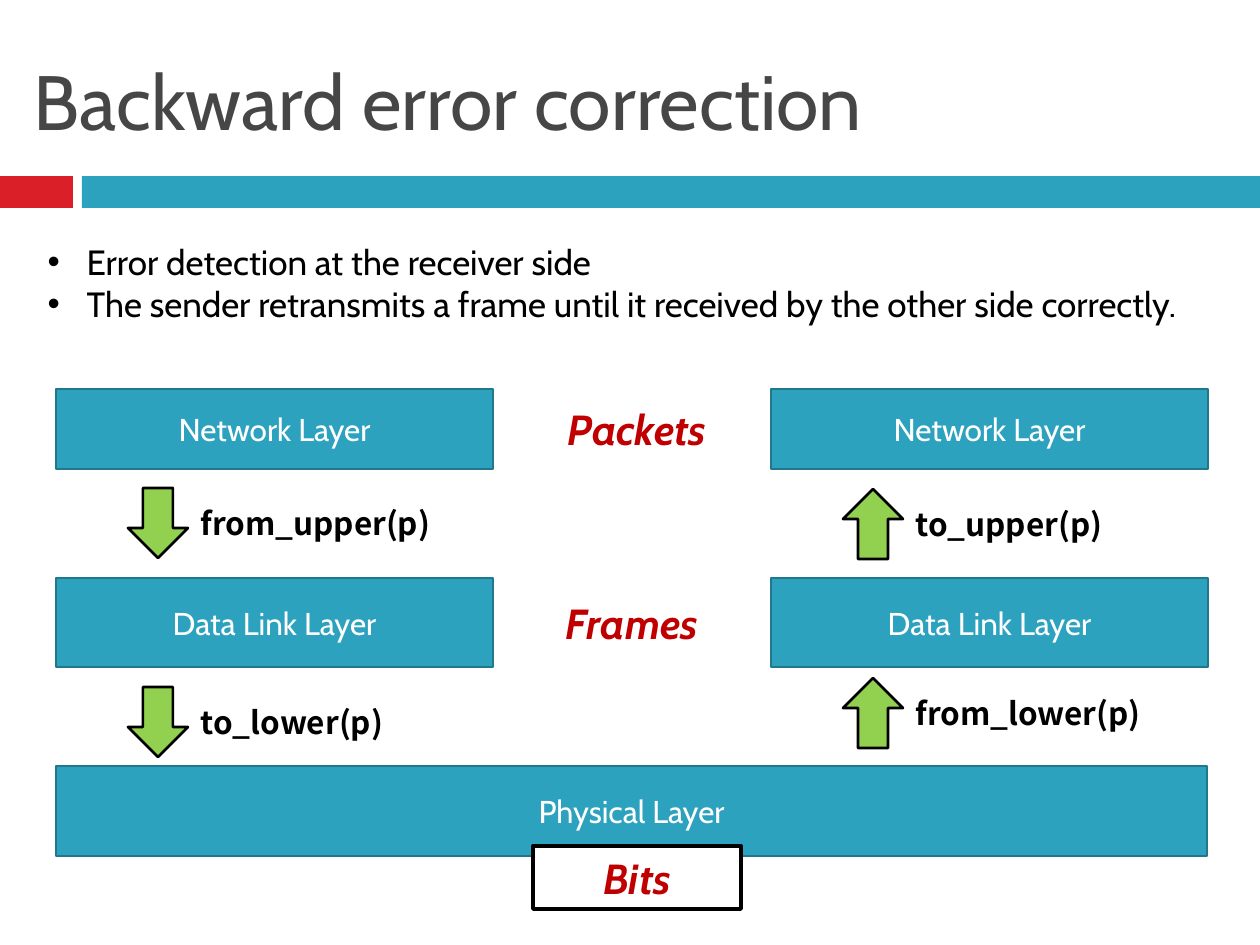
import pptx
import pptx.util
import pptx.dml.color
import pptx.enum.shapes
import pptx.enum.text

SCALE = 914400 / 126  # EMU in one px
RECT = pptx.enum.shapes.MSO_SHAPE.RECTANGLE
DOWN_ARROW = pptx.enum.shapes.MSO_SHAPE.DOWN_ARROW
LEFT, CENTER = pptx.enum.text.PP_ALIGN.LEFT, pptx.enum.text.PP_ALIGN.CENTER
TOP, MIDDLE = pptx.enum.text.MSO_ANCHOR.TOP, pptx.enum.text.MSO_ANCHOR.MIDDLE
RED, TEAL, DARK_TEAL, GREEN = "DA1F28", "2DA2BF", "21788D", "92D050"
WHITE, BLACK, GRAY, DARK_RED = "FFFFFF", "000000", "464646", "C00000"

# Content
TITLE = "Backward error correction"
BULLETS = [
    "Error detection at the receiver side",
    "The sender retransmits a frame until it received by the other side correctly.",
]
SENDER, RECEIVER = 56, 771  # left edges of the two stacks
STACK_W, FULL_W = 437, 1151
LAYERS = [  # name, top, height
    ("Network Layer", 389, 80),
    ("Data Link Layer", 578, 89),
]
PHYSICAL = ("Physical Layer", 766, 90)
CALLS = [  # name, stack, arrow top, rotation
    ("from_upper(p)", SENDER, 488, 0),
    ("to_lower(p)", SENDER, 687, 0),
    ("to_upper(p)", RECEIVER, 489, 180),
    ("from_lower(p)", RECEIVER, 678, 180),
]
UNITS = [("Packets", 533, 397), ("Frames", 528, 591)]  # name, left, top
BITS = ("Bits", 533, 846)
UNIT_SIZE = (208, 63)


def px(n):
    return round(n * SCALE)


def color(value):
    return pptx.dml.color.RGBColor.from_string(value)


def place(s, x, y, w, h):
    s.left, s.top, s.width, s.height = px(x), px(y), px(w), px(h)


def write(s, *lines, size=18, font="Cabin", fill=BLACK, bold=False, italic=False,
          align=LEFT, anchor=TOP):
    tf = s.text_frame
    tf.word_wrap = True
    tf.auto_size = pptx.enum.text.MSO_AUTO_SIZE.NONE
    tf.vertical_anchor = anchor
    for i, line in enumerate(lines):
        p = tf.add_paragraph() if i else tf.paragraphs[0]
        p.alignment = align
        p.space_before = pptx.util.Pt(0)
        r = p.add_run()
        r.text = line
        r.font.size = pptx.util.Pt(size)
        r.font.name = font
        r.font.bold, r.font.italic = bold, italic
        r.font.color.rgb = color(fill)


def add_shape(kind, x, y, w, h, fill, line=None, width=1.5):
    s = slide.shapes.add_shape(kind, px(x), px(y), px(w), px(h))
    s.shadow.inherit = False
    s.fill.solid()
    s.fill.fore_color.rgb = color(fill)
    if line:
        s.line.color.rgb = color(line)
        s.line.width = pptx.util.Pt(width)
    else:
        s.line.fill.background()
    return s


def add_text(x, y, w, h, text, **style):
    s = slide.shapes.add_textbox(px(x), px(y), px(w), px(h))
    write(s, text, **style)


def add_layer(name, x, y, w, h):
    s = add_shape(RECT, x, y, w, h, TEAL, DARK_TEAL)
    write(s, name, fill=WHITE, align=CENTER, anchor=MIDDLE)


prs = pptx.Presentation()
prs.slide_width, prs.slide_height = px(1260), px(945)
slide = prs.slides.add_slide(prs.slide_layouts[1])

# Title and the band below it
add_shape(RECT, 0, 176, 73, 32, RED)
add_shape(RECT, 82, 176, 1178, 32, TEAL)
title, body = slide.placeholders
place(title, 21, 32, 1218, 136)
write(title, TITLE, size=44, fill=GRAY, anchor=MIDDLE)

# Bullet list
place(body, 35, 234, 1173, 97)
write(body, *BULLETS, size=20)
for p in body.text_frame.paragraphs:
    pPr = p._p.get_or_add_pPr()
    pPr.set("marL", str(px(39)))
    pPr.set("indent", str(px(-39)))

# Layers of both stacks over the shared physical layer
for x in (SENDER, RECEIVER):
    for name, y, h in LAYERS:
        add_layer(name, x, y, STACK_W, h)
name, y, h = PHYSICAL
add_layer(name, SENDER, y, FULL_W, h)

# Calls between layers
for name, x, y, rotation in CALLS:
    arrow = add_shape(DOWN_ARROW, x + 72, y, 60, 70, GREEN, BLACK)
    arrow.rotation = rotation
    add_text(x + 132, y + 10, 258, 51, name, font="Noto Sans CJK SC", bold=True)

# Data units
unit_style = dict(size=24, fill=DARK_RED, bold=True, italic=True, align=CENTER)
for name, x, y in UNITS:
    add_text(x, y, *UNIT_SIZE, name, **unit_style)
name, x, y = BITS
bits = add_shape(RECT, x, y, *UNIT_SIZE, WHITE, BLACK, 2.25)
write(bits, name, **unit_style)

prs.save("out.pptx")
